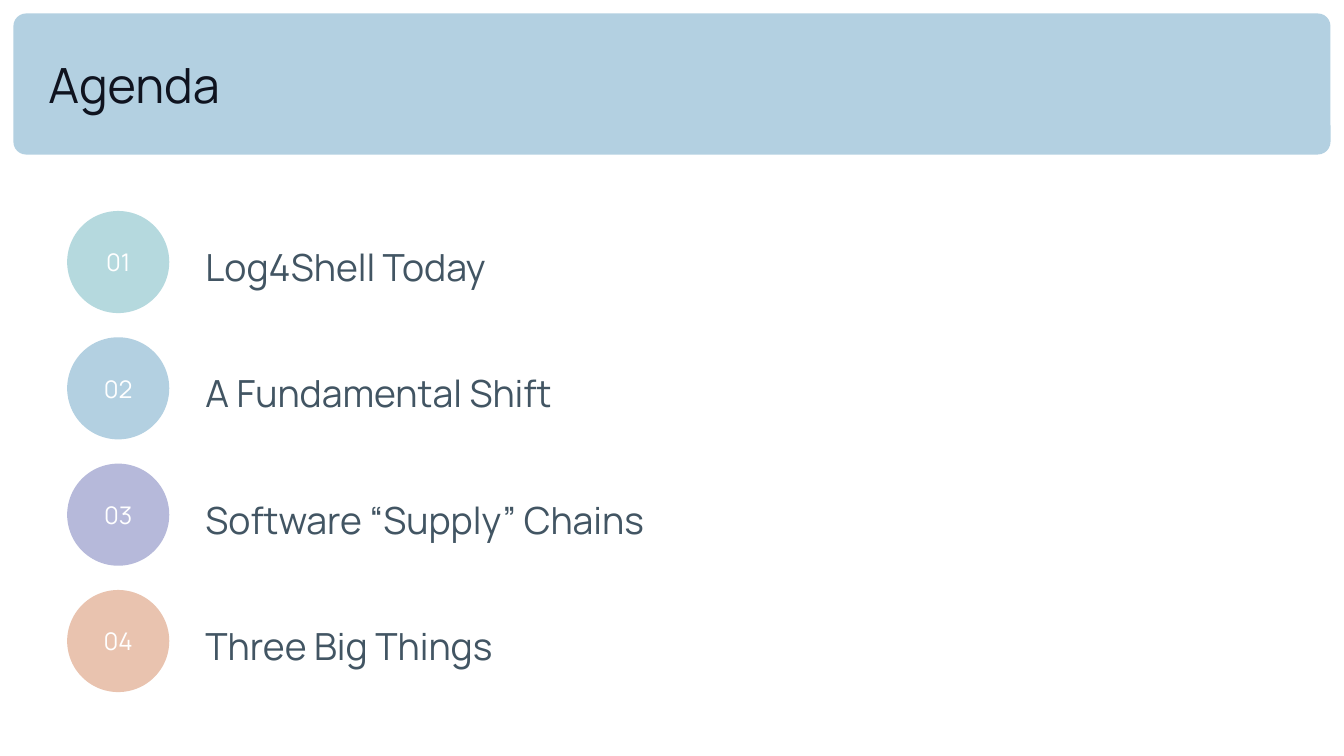
from pptx import Presentation
from pptx.dml.color import RGBColor
from pptx.enum.shapes import MSO_SHAPE
from pptx.enum.text import MSO_ANCHOR, PP_ALIGN
from pptx.util import Inches, Pt

ROUNDED = MSO_SHAPE.ROUNDED_RECTANGLE
OVAL = MSO_SHAPE.OVAL
MIDDLE = MSO_ANCHOR.MIDDLE
CENTER = PP_ALIGN.CENTER
LEFT = PP_ALIGN.LEFT

FONT = "Manrope"
INK = RGBColor(0x0F, 0x13, 0x1F)
SLATE = RGBColor(0x42, 0x55, 0x63)
WHITE = RGBColor(0xFF, 0xFF, 0xFF)
TEAL = RGBColor(0xB5, 0xD9, 0xDE)
BLUE = RGBColor(0xB3, 0xD0, 0xE1)
LAVENDER = RGBColor(0xB6, 0xB9, 0xDA)
PEACH = RGBColor(0xE9, 0xC3, 0xAF)

SLIDE_WIDTH = 10
SLIDE_HEIGHT = SLIDE_WIDTH * 9 / 16
MARGIN = 0.1
BANNER_HEIGHT = 1.05
CIRCLE_LEFT, CIRCLE_SIZE = 0.5, 0.76
TOPIC_LEFT, TOPIC_HEIGHT = 1.43, 0.69
FIRST_ROW, ROW_PITCH = 1.57, 0.94

# Topic, width of its text box, circle colour
AGENDA = [
    ("Log4Shell Today", 7.61, TEAL),
    ("A Fundamental Shift", 6.79, BLUE),
    ("Software “Supply” Chains", 6.64, LAVENDER),
    ("Three Big Things", 7.21, PEACH),
]


def add_filled_shape(kind, left, top, width, height, color):
    shape = slide.shapes.add_shape(
        kind, Inches(left), Inches(top), Inches(width), Inches(height))
    shape.shadow.inherit = False
    shape.fill.solid()
    shape.fill.fore_color.rgb = color
    shape.line.fill.background()
    return shape


def write_text(shape, text, size, color, side_inset, end_inset, alignment=LEFT):
    """Fill a shape with one vertically centred line of text."""
    frame = shape.text_frame
    frame.word_wrap = True
    frame.vertical_anchor = MIDDLE
    frame.margin_left = frame.margin_right = Inches(side_inset)
    frame.margin_top = frame.margin_bottom = Inches(end_inset)
    paragraph = frame.paragraphs[0]
    paragraph.text = text
    paragraph.alignment = alignment
    paragraph.font.name = FONT
    paragraph.font.size = Pt(size)
    paragraph.font.color.rgb = color
    return paragraph


presentation = Presentation()
presentation.slide_width = Inches(SLIDE_WIDTH)
presentation.slide_height = Inches(SLIDE_HEIGHT)
slide = presentation.slides.add_slide(presentation.slide_layouts[6])

# Title banner
banner = add_filled_shape(
    ROUNDED, MARGIN, MARGIN, SLIDE_WIDTH - 2 * MARGIN, BANNER_HEIGHT, BLUE)
banner.adjustments[0] = 0.09
title = slide.shapes.add_textbox(
    Inches(0.36), Inches(MARGIN), Inches(9.27), Inches(BANNER_HEIGHT))
write_text(title, "Agenda", 26, INK, 0, 0.1)

# Numbered agenda rows
for row, (topic, topic_width, color) in enumerate(AGENDA):
    top = FIRST_ROW + row * ROW_PITCH
    circle = add_filled_shape(
        OVAL, CIRCLE_LEFT, top, CIRCLE_SIZE, CIRCLE_SIZE, color)
    write_text(circle, f"{row + 1:02}", 13, WHITE, 0, 0, CENTER)

    topic_top = top + (CIRCLE_SIZE - TOPIC_HEIGHT) / 2
    topic_box = slide.shapes.add_textbox(
        Inches(TOPIC_LEFT), Inches(topic_top),
        Inches(topic_width), Inches(TOPIC_HEIGHT))
    paragraph = write_text(topic_box, topic, 20, SLATE, 0.1, 0.05)
    paragraph.line_spacing = 1.2

presentation.save("out.pptx")
